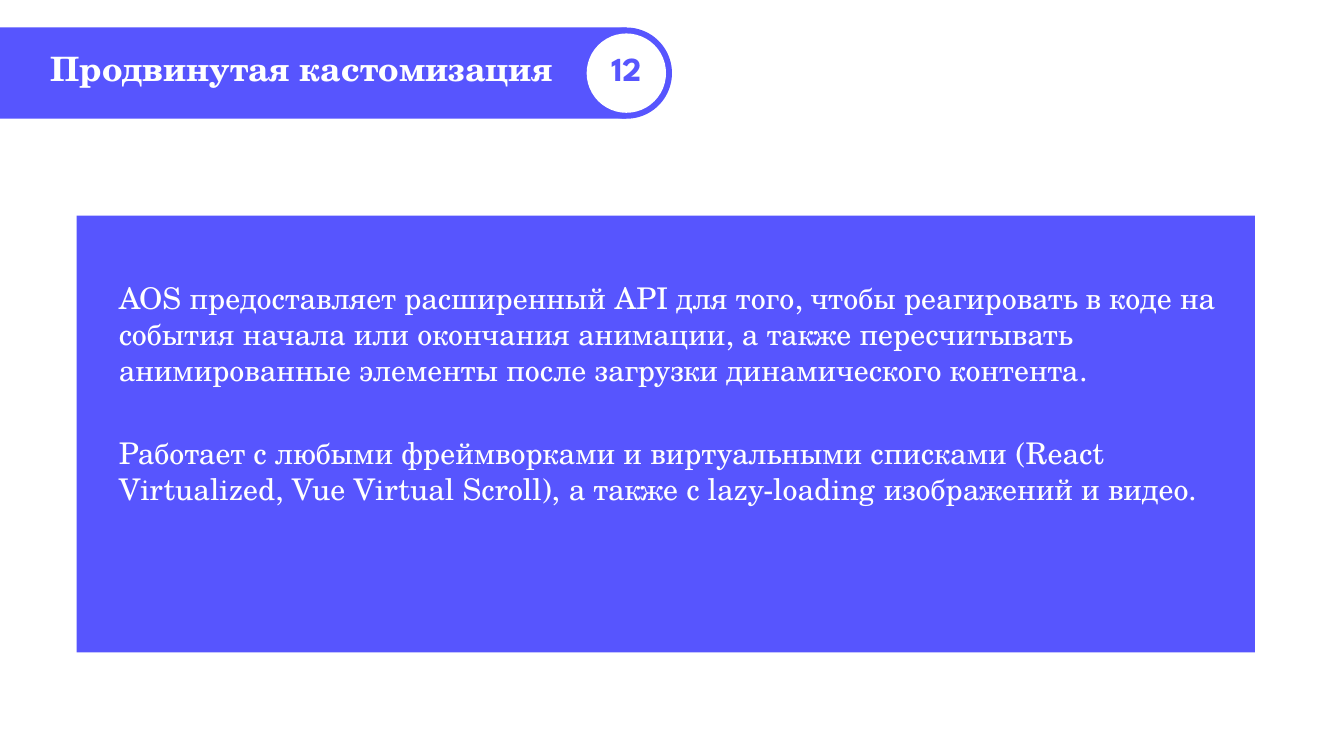
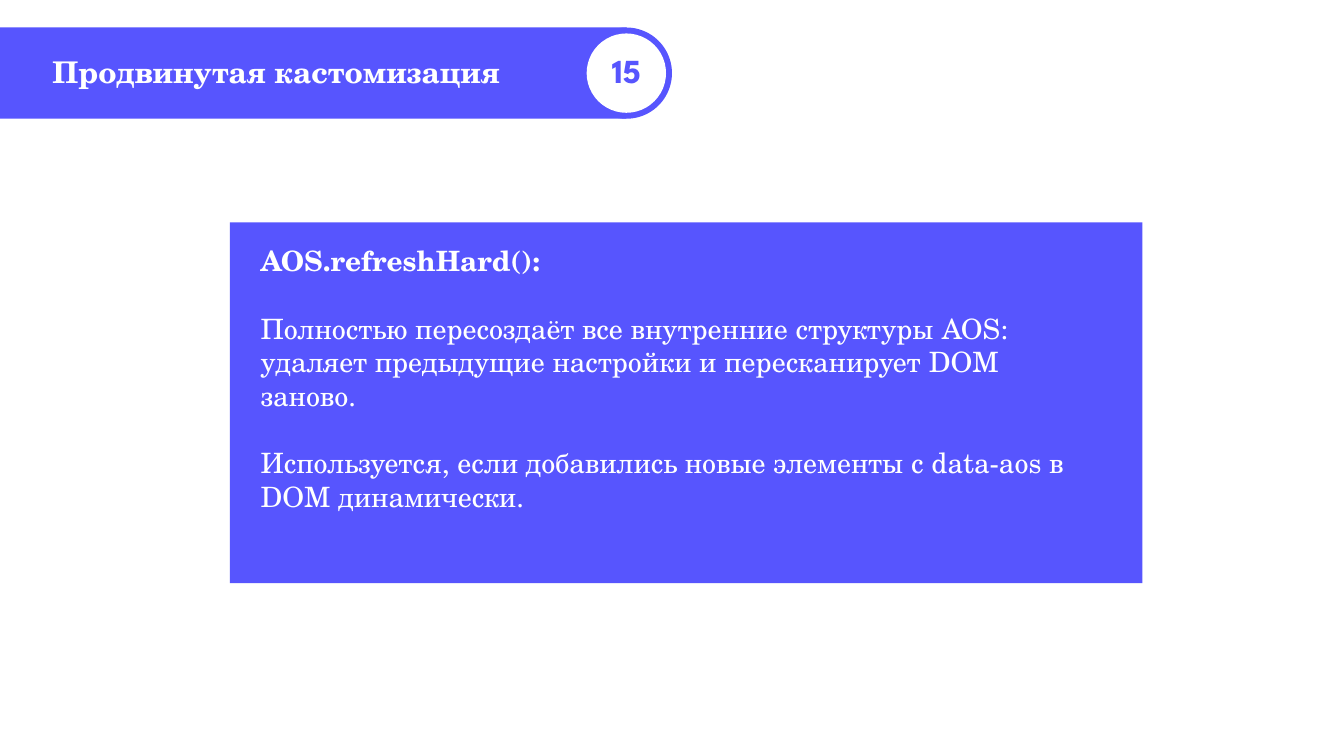
from pptx import Presentation
from pptx.dml.color import RGBColor
from pptx.enum import shapes, text
from pptx.util import Cm, Pt

VIOLET = RGBColor(0x57, 0x55, 0xFE)
WHITE = RGBColor(0xFF, 0xFF, 0xFF)
SERIF = "TeX Gyre Schola"
SANS = "League Spartan"
RECT, OVAL = shapes.MSO_SHAPE.RECTANGLE, shapes.MSO_SHAPE.OVAL

TITLE = "Продвинутая кастомизация"
HEADER_BOX = (0, 1.04, 25.4, 3.45)
DISC = 3.0
NUMBER_WIDTH = 2.24


def add_block(s, kind, box, color):
    sp = s.shapes.add_shape(kind, *map(Cm, box))
    sp.shadow.inherit = False
    sp.fill.solid()
    sp.fill.fore_color.rgb = color
    sp.line.fill.background()


def add_text(s, box, lines, size, color=WHITE, font=SERIF, bold_first=False,
             gap=0, margin=True, leading=None, align=text.PP_ALIGN.LEFT,
             anchor=text.MSO_ANCHOR.TOP):
    tf = s.shapes.add_textbox(*map(Cm, box)).text_frame
    tf.word_wrap = True
    tf.vertical_anchor = anchor
    if not margin:
        tf.margin_left = tf.margin_top = tf.margin_right = tf.margin_bottom = 0
    for i, line in enumerate(lines):
        p = tf.paragraphs[0] if i == 0 else tf.add_paragraph()
        p.text = line
        p.alignment = align
        if i:
            p.space_before = Pt(gap)
        if leading:
            p.line_spacing = Pt(leading)
        p.font.name, p.font.size = font, Pt(size)
        p.font.bold = bold_first and i == 0
        p.font.color.rgb = color


def add_header(s, box, number, title_box, title_size, number_top):
    """Band with a round end that holds the slide number."""
    x, y, w, h = box
    cx, cy = x + w - h / 2, y + h / 2
    label = dict(bold_first=True, margin=False, leading=43.2)

    # Band and its round end
    add_block(s, RECT, (x, y, cx - x, h), VIOLET)
    add_block(s, OVAL, (x + w - h, y, h, h), VIOLET)

    # Title
    dx, dy, tw, th = title_box
    add_text(s, (x + dx, y + dy, tw, th), [TITLE], title_size, **label)

    # Number on a white disc
    add_block(s, OVAL, (cx - DISC / 2, cy - DISC / 2, DISC, DISC), WHITE)
    add_text(s, (cx - NUMBER_WIDTH / 2, y + number_top, NUMBER_WIDTH, 1.52),
             [number], 36, VIOLET, SANS, align=text.PP_ALIGN.CENTER, **label)


def add_panel(s, box, text_box, lines, size, **style):
    """Filled panel; text_box is measured from the panel's corner."""
    x, y = box[:2]
    dx, dy, w, h = text_box
    add_block(s, RECT, box, VIOLET)
    add_text(s, (x + dx, y + dy, w, h), lines, size, **style)


def add_api_slide(s):
    add_header(s, HEADER_BOX, "12", (1.91, 0.76, 19.56, 1.52), 36, 0.76)
    add_panel(s, (2.9, 8.15, 44.53, 16.51), (1.34, 2.31, 42.34, 14.4), [
        "AOS предоставляет расширенный API для того, чтобы реагировать в коде "
        "на события начала или окончания анимации, а также пересчитывать "
        "анимированные элементы после загрузки динамического контента.",
        "Работает с любыми фреймворками и виртуальными списками (React "
        "Virtualized, Vue Virtual Scroll), а также с lazy-loading изображений "
        "и видео.",
    ], 32, gap=50.4)


def add_refresh_slide(s):
    add_header(s, HEADER_BOX, "15", (1.98, 0.81, 19.08, 1.45), 32, 0.86)
    add_panel(s, (8.69, 8.41, 34.49, 13.64), (0.91, 1.27, 31.6, 9.25), [
        "AOS.refreshHard():",
        "Полностью пересоздаёт все внутренние структуры AOS: удаляет "
        "предыдущие настройки и пересканирует DOM заново.",
        "Используется, если добавились новые элементы с data-aos в DOM "
        "динамически.",
    ], 30, gap=36, bold_first=True, anchor=text.MSO_ANCHOR.MIDDLE)


def main():
    prs = Presentation()
    prs.slide_width, prs.slide_height = Cm(50.8), Cm(28.58)
    for build in (add_api_slide, add_refresh_slide):
        build(prs.slides.add_slide(prs.slide_layouts[6]))
    prs.save("out.pptx")


if __name__ == "__main__":
    main()
